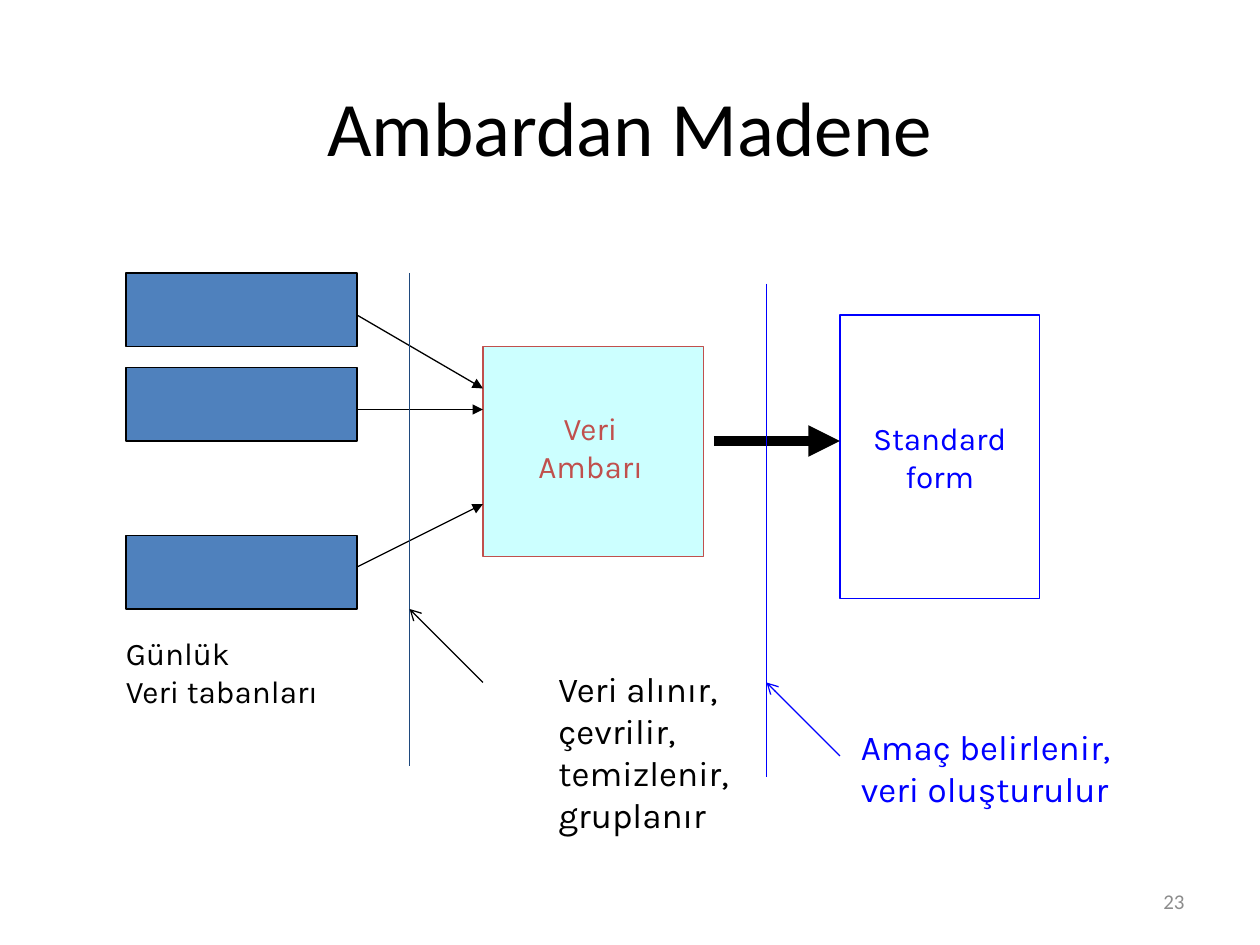
from lxml.etree import SubElement
from pptx import Presentation
from pptx.dml.color import RGBColor
from pptx.enum.shapes import MSO_CONNECTOR as CONN, MSO_SHAPE as SHAPE
from pptx.enum.text import MSO_ANCHOR as ANCHOR, PP_ALIGN as ALIGN
from pptx.oxml.ns import qn
from pptx.util import Pt

PX = 7620  # 120 px to the inch
BLACK, BLUE, RED = "000000", "0000FF", "C0504D"


def rgb(color):
    return RGBColor.from_string(color)


def write(sp, text, size=18, font="Karla", color=BLACK, align=ALIGN.LEFT, wrap=False):
    tf = sp.text_frame
    tf.text = text
    tf.word_wrap = wrap
    tf.vertical_anchor = ANCHOR.MIDDLE
    for p in tf.paragraphs:
        p.alignment = align
        for r in p.runs:
            r.font.size = Pt(size)
            r.font.name = font
            r.font.color.rgb = rgb(color)


prs = Presentation()
prs.slide_width, prs.slide_height = 1200 * PX, 900 * PX
s = prs.slides.add_slide(prs.slide_layouts[5])

# Title
title = s.shapes.title
title.left, title.top, title.width, title.height = [v * PX for v in (90, 70, 1020, 100)]
write(title, "Ambardan Madene", size=44, font="Calibri", align=ALIGN.CENTER, wrap=True)

# Boxes: warehouse, three daily databases, standard form
boxes = [((460, 330, 210, 200), "CCFFFF", RED, "")]
boxes += [((120, y, 220, 70), "4F81BD", BLACK, "") for y in (260, 350, 510)]
boxes += [((800, 300, 190, 270), None, BLUE, "Standard\nform")]
for box, fill, line, text in boxes:
    sp = s.shapes.add_shape(SHAPE.RECTANGLE, *[v * PX for v in box])
    sp.shadow.inherit = False
    if fill:
        sp.fill.solid()
        sp.fill.fore_color.rgb = rgb(fill)
    else:
        sp.fill.background()
    sp.line.color.rgb = rgb(line)
    sp.line.width = Pt(0.75)
    if text:
        write(sp, text, color=line, align=ALIGN.CENTER)

# Flow arrows, stage dividers and pointers to the dividers
lines = [
    ((340, 300, 460, 370), BLACK, 0.75, "triangle"),
    ((340, 390, 460, 390), BLACK, 0.75, "triangle"),
    ((340, 540, 460, 480), BLACK, 0.75, "triangle"),
    ((680, 420, 800, 420), BLACK, 6, "triangle"),
    ((390, 260, 390, 730), "1F497D", 0.75, None),
    ((730, 270, 730, 740), BLUE, 0.75, None),
    ((460, 650, 390, 580), BLACK, 0.75, "arrow"),
    ((800, 720, 730, 650), BLUE, 0.75, "arrow"),
]
for ends, color, width, head in lines:
    cxn = s.shapes.add_connector(CONN.STRAIGHT, *[v * PX for v in ends])
    cxn.line.color.rgb = rgb(color)
    cxn.line.width = Pt(width)
    if head:
        SubElement(cxn.line._get_or_add_ln(), qn("a:tailEnd"), type=head)
    SubElement(cxn._element.spPr, qn("a:effectLst"))

# Labels and slide number
labels = [
    ((488, 372, 149, 108), "Veri\nAmbarı", dict(color=RED, align=ALIGN.CENTER)),
    ((108, 586, 259, 108), "Günlük\nVeri tabanları", {}),
    ((520, 630, 190, 172), "Veri alınır, çevrilir, temizlenir,\ngruplanır",
     dict(size=20, wrap=True)),
    ((808, 685, 312, 92), "Amaç belirlenir,\nveri oluşturulur",
     dict(size=20, color=BLUE, wrap=True)),
    ((860, 834, 280, 48), "23",
     dict(size=12, font="Calibri", color="8C8C8C", align=ALIGN.RIGHT, wrap=True)),
]
for box, text, style in labels:
    write(s.shapes.add_textbox(*[v * PX for v in box]), text, **style)

prs.save("out.pptx")
